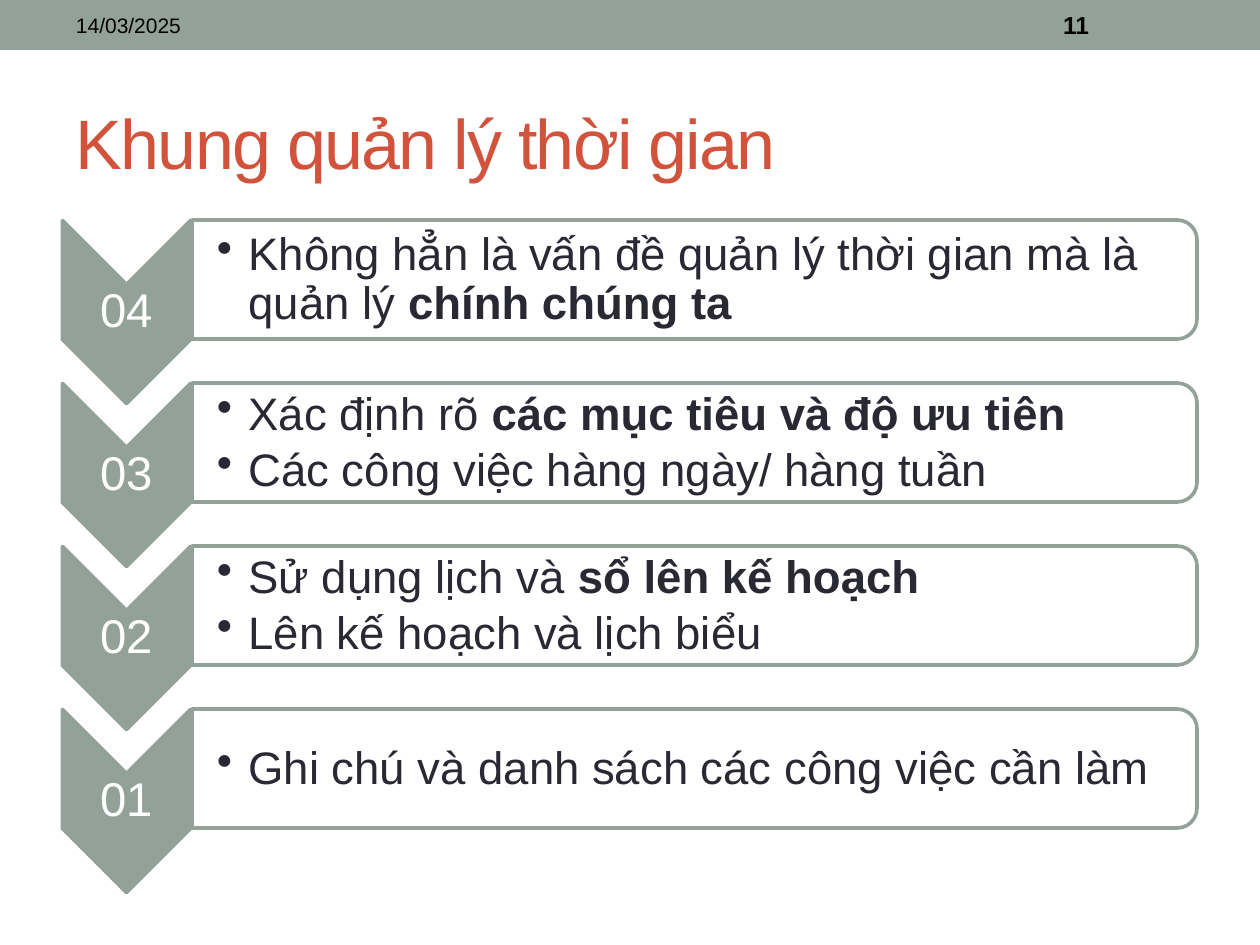
"""Build the time management slide with four numbered chevron rows."""
from lxml import etree
from pptx import Presentation
from pptx.dml.color import RGBColor
from pptx.enum.shapes import MSO_SHAPE
from pptx.enum.text import MSO_ANCHOR, PP_ALIGN
from pptx.oxml.ns import qn
from pptx.util import Emu, Pt

RECT = MSO_SHAPE.RECTANGLE
CHEVRON = MSO_SHAPE.CHEVRON
ROUND = MSO_SHAPE.ROUND_2_SAME_RECTANGLE
MIDDLE = MSO_ANCHOR.MIDDLE
LEFT, CENTER = PP_ALIGN.LEFT, PP_ALIGN.CENTER
SCALE = 914400 / 126
HUES = {"sage": "93A299", "rust": "D2533C", "ink": "292934",
        "white": "FFFFFF", "black": "000000"}


def draw(kind, box, fill, line=None, turn=0):
    shape = slide.shapes.add_shape(kind, *[Emu(round(n * SCALE)) for n in box])
    shape.shadow.inherit = False
    shape.rotation = turn
    shape.fill.solid()
    shape.fill.fore_color.rgb = RGBColor.from_string(HUES[fill])
    if line:
        shape.line.color.rgb = RGBColor.from_string(HUES[line])
        shape.line.width = Pt(2.08)
    else:
        shape.line.fill.background()
    return shape


def write(text, box, size, hue, bold=False, align=LEFT, inset=(13, 6, 13, 6),
          lead=None, after=0, track=0, bullet=False):
    frame = slide.shapes.add_textbox(*[Emu(round(n * SCALE)) for n in box]).text_frame
    frame.word_wrap = True
    frame.vertical_anchor = MIDDLE
    (frame.margin_left, frame.margin_top, frame.margin_right,
     frame.margin_bottom) = [Emu(round(n * SCALE)) for n in inset]
    lines = [(text,)] if isinstance(text, str) else text
    for i, parts in enumerate(lines):
        para = frame.add_paragraph() if i else frame.paragraphs[0]
        para.alignment = align
        para.line_spacing = lead
        para.space_after = Pt(after)
        if bullet:
            props = para._p.get_or_add_pPr()
            props.set("marL", "228600")
            props.set("indent", "-228600")
            etree.SubElement(props, qn("a:buChar")).set("char", "•")
        for j, part in enumerate(parts):
            run = para.add_run()
            run.text = part
            run.font.name = "Arial"
            run.font.size = Pt(size)
            run.font.bold = bold or j > 0
            run.font.color.rgb = RGBColor.from_string(HUES[hue])
            if track:
                run._r.get_or_add_rPr().set("spc", str(track * 100))


deck = Presentation()
deck.slide_width = Emu(round(1260 * SCALE))
deck.slide_height = Emu(round(945 * SCALE))
slide = deck.slides.add_slide(deck.slide_layouts[6])

draw(RECT, (0, 0, 1260, 50), "sage")
write("Khung quản lý thời gian", (63, 73, 1134, 136), 40, "rust", track=-1)

rows = [
    ("04", [("Không hẳn là vấn đề quản lý thời gian mà là quản lý ", "chính chúng ta")]),
    ("03", [("Xác định rõ ", "các mục tiêu và độ ưu tiên"),
            ("Các công việc hàng ngày/ hàng tuần",)]),
    ("02", [("Sử dụng lịch và ", "sổ lên kế hoạch"),
            ("Lên kế hoạch và lịch biểu",)]),
    ("01", [("Ghi chú và danh sách các công việc cần làm",)]),
]
for i, (label, lines) in enumerate(rows):
    drop = i * 163
    draw(CHEVRON, (35, 248 + drop, 183, 128), "sage", line="sage", turn=90)
    write(label, (63, 285 + drop, 128, 55), 27, "white", align=CENTER,
          inset=(2, 2, 2, 2), lead=0.9, after=9)
    bar = draw(ROUND, (635, drop - 223, 119, 1005), "white", line="sage", turn=90)
    tint = bar.fill._xPr.find(qn("a:solidFill"))[0]
    etree.SubElement(tint, qn("a:alpha")).set("val", "90000")
    write(lines, (192, 227 + drop, 1000, 107), 26, "ink",
          inset=(25, 2, 2, 2), lead=0.9, after=4, bullet=True)

write("14/03/2025", (63, 2, 400, 46), 12, "black")
write("11", (1050, 2, 147, 46), 14, "black", bold=True)

deck.save("out.pptx")
